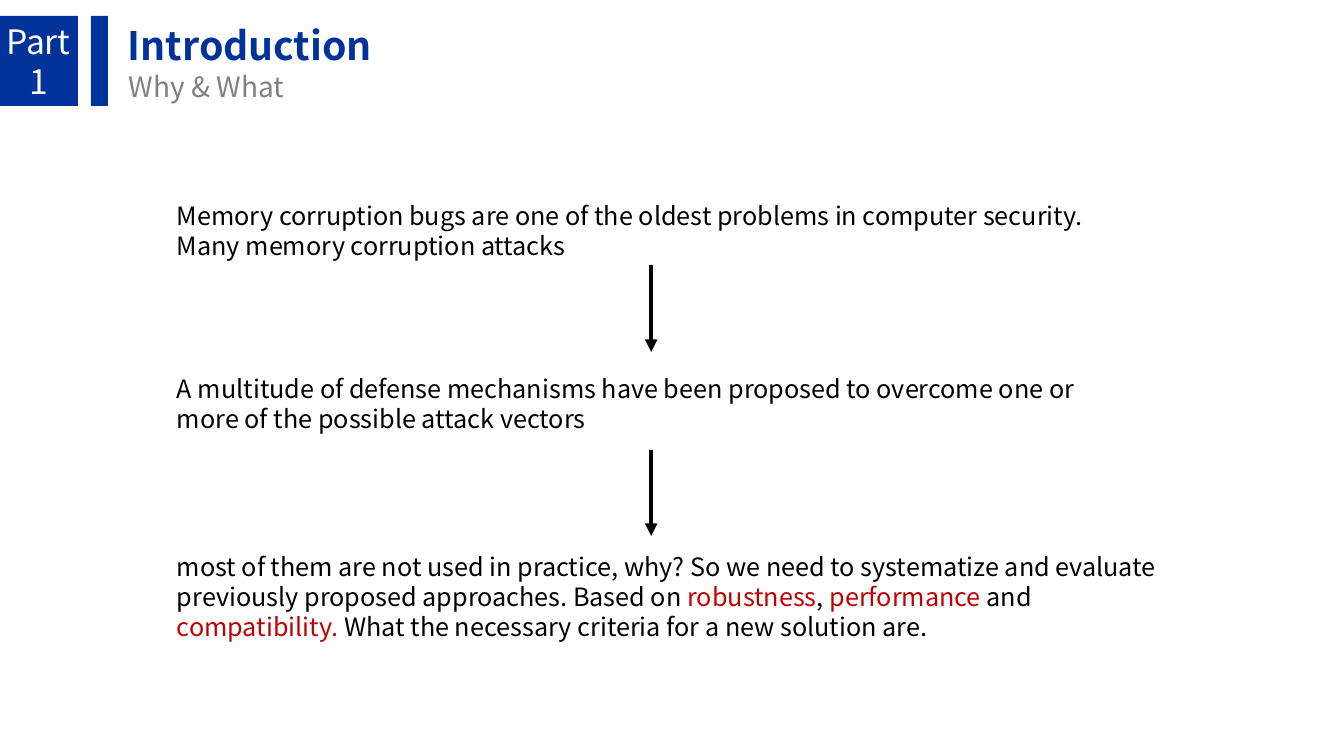
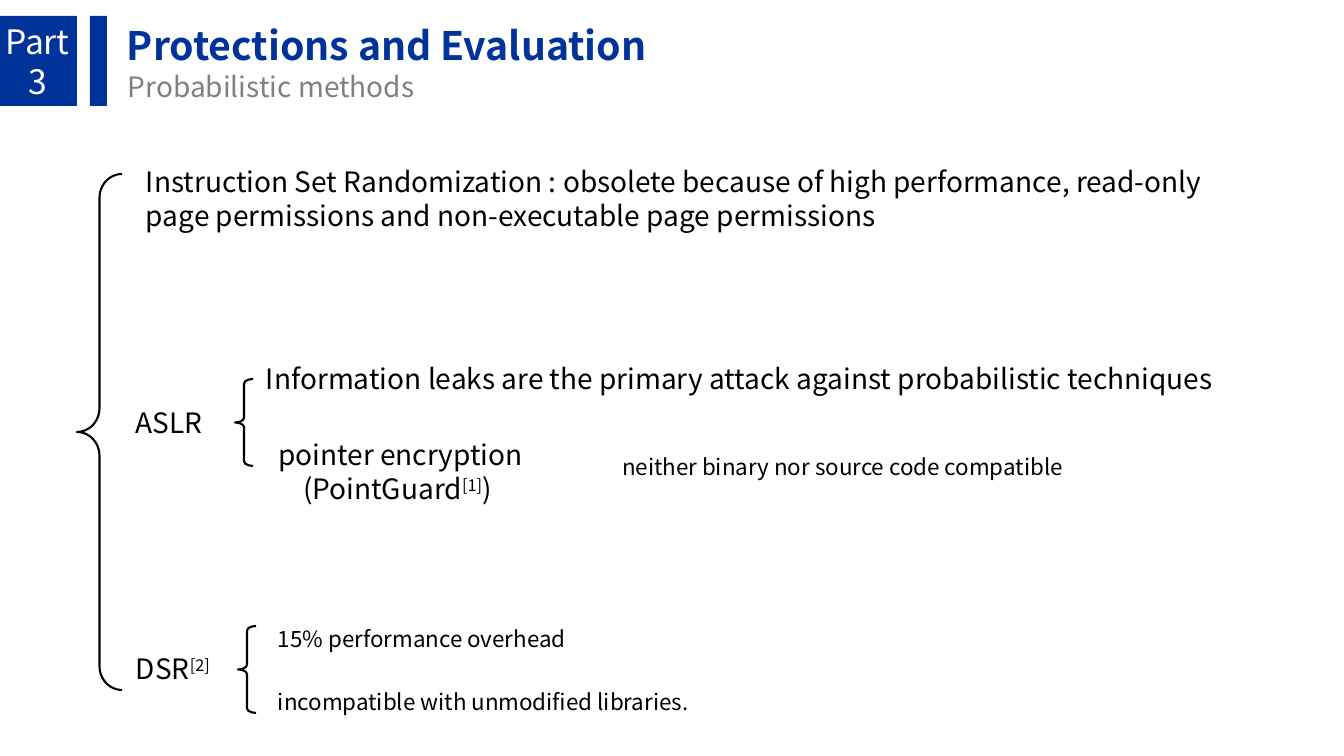
"""Builds two slides on memory corruption attacks and their defenses."""
from lxml import etree
from pptx import Presentation
from pptx import util as u
from pptx.dml.color import RGBColor
from pptx.enum import shapes, text
from pptx.oxml.ns import qn

SCALE = 914400 / 100.8
FONT = "Noto Sans CJK SC"
BLUE, GREY, BLACK, WHITE, RED = "003399", "808080", "000000", "FFFFFF", "C00000"

TITLE = dict(size=28, bold=True, color=BLUE)
SUBTITLE = dict(size=20, color=GREY)
PART = dict(size=24, color=WHITE)
STEP = dict(size=18, color=BLACK)
TOPIC = dict(size=20, color=BLACK)
DETAIL = dict(size=16, color=BLACK)
KEY = dict(color=RED)
CITE = dict(baseline=30000)
LEFT, CENTER = text.PP_ALIGN.LEFT, text.PP_ALIGN.CENTER

SLIDES = [
    dict(
        part="1", title="Introduction", subtitle="Why & What", shift=0,
        texts=[
            ((167, 195, 1010, 72), STEP, LEFT, [
                "Memory corruption bugs are one of the oldest problems in computer security.",
                "Many memory corruption attacks "]),
            ((167, 368, 973, 72), STEP, LEFT, [
                "A multitude of defense mechanisms have been proposed to overcome one or "
                "more of the possible attack vectors"]),
            ((167, 546, 1025, 102), STEP, LEFT, [[
                ("most of them are not used in practice, why? So we need to systematize and "
                 "evaluate previously proposed approaches. Based on ", {}),
                ("robustness", KEY), (", ", {}), ("performance", KEY), (" and ", {}),
                ("compatibility. ", KEY),
                ("What the necessary criteria for a new solution are.", {})]]),
        ],
        arrows=[(651, 265, 352), (651, 450, 536)],
        braces=[],
    ),
    dict(
        part="3", title="Protections and Evaluation", subtitle="Probabilistic methods", shift=-1,
        texts=[
            ((136, 160, 1120, 78), TOPIC, LEFT, [
                "Instruction Set Randomization : obsolete because of high performance, "
                "read-only page permissions and non-executable page permissions"]),
            ((126, 401, 90, 44), TOPIC, LEFT, ["ASLR"]),
            ((256, 357, 1007, 44), TOPIC, LEFT, [
                "Information leaks are the primary attack against probabilistic techniques"]),
            ((256, 433, 289, 78), TOPIC, CENTER, [
                "pointer encryption", [("(PointGuard", {}), ("[1]", CITE), (") ", {})]]),
            ((612, 448, 511, 37), DETAIL, LEFT, ["neither binary nor source code compatible"]),
            ((126, 647, 109, 44), TOPIC, LEFT, [[("DSR", {}), ("[2]", CITE)]]),
            ((268, 620, 511, 37), DETAIL, LEFT, ["15% performance overhead"]),
            ((268, 683, 511, 37), DETAIL, LEFT, ["incompatible with unmodified libraries."]),
        ],
        arrows=[],
        braces=[((77, 174, 45, 516), 0.53), ((235, 379, 18, 87), 0.26), ((238, 626, 18, 87), 0.26)],
    ),
]


def px(*values):
    return [u.Emu(round(v * SCALE)) for v in values]


def rgb(color):
    return RGBColor.from_string(color)


def add_run(p, words, style):
    r = p.add_run()
    r.text = words
    values = dict(name=FONT, size=u.Pt(style["size"]), bold=style.get("bold", False))
    for name, value in values.items():
        setattr(r.font, name, value)
    r.font.color.rgb = rgb(style["color"])
    if "baseline" in style:
        r.font._element.set("baseline", str(style["baseline"]))


def add_text(s, box, style, align, paragraphs):
    tf = s.shapes.add_textbox(*px(*box)).text_frame
    tf.word_wrap = True
    tf.auto_size = text.MSO_AUTO_SIZE.SHAPE_TO_FIT_TEXT
    for i, runs in enumerate(paragraphs):
        p = tf.add_paragraph() if i else tf.paragraphs[0]
        p.alignment = align
        for words, change in [(runs, {})] if isinstance(runs, str) else runs:
            add_run(p, words, {**style, **change})


def add_bar(s, box):
    sp = s.shapes.add_shape(shapes.MSO_SHAPE.RECTANGLE, *px(*box))
    sp.shadow.inherit = False
    sp.fill.solid()
    sp.fill.fore_color.rgb = rgb(BLUE)
    sp.line.fill.background()


def add_brace(s, box, curve):
    sp = s.shapes.add_shape(shapes.MSO_SHAPE.LEFT_BRACE, *px(*box))
    sp.shadow.inherit = False
    sp.adjustments[0] = curve
    sp.fill.background()
    sp.line.color.rgb = rgb(BLACK)
    sp.line.width = u.Pt(1.5)


def add_arrow(s, x, top, bottom):
    line = s.shapes.add_connector(shapes.MSO_CONNECTOR.STRAIGHT, *px(x, top, x, bottom))
    line.line.color.rgb = rgb(BLACK)
    line.line.width = u.Pt(3)
    etree.SubElement(line.line._get_or_add_ln(), qn("a:tailEnd"), type="triangle")
    etree.SubElement(line._element.spPr, qn("a:effectLst"))


def add_header(s, part, title, subtitle, shift):
    for x, width in ((0, 78), (91, 17)):
        add_bar(s, (x + shift, 16, width, 90))
    add_text(s, (shift - 8, 16, 93, 92), PART, CENTER, ["Part", part])
    add_text(s, (118 + shift, 16, 570, 57), TITLE, LEFT, [title])
    add_text(s, (119 + shift, 65, 336, 44), SUBTITLE, LEFT, [subtitle])


prs = Presentation()
prs.slide_width, prs.slide_height = u.Inches(13.33), u.Inches(7.5)
for content in SLIDES:
    s = prs.slides.add_slide(prs.slide_layouts[6])
    add_header(s, *(content[key] for key in ("part", "title", "subtitle", "shift")))
    for brace in content["braces"]:
        add_brace(s, *brace)
    for item in content["texts"]:
        add_text(s, *item)
    for arrow in content["arrows"]:
        add_arrow(s, *arrow)
prs.save("out.pptx")
